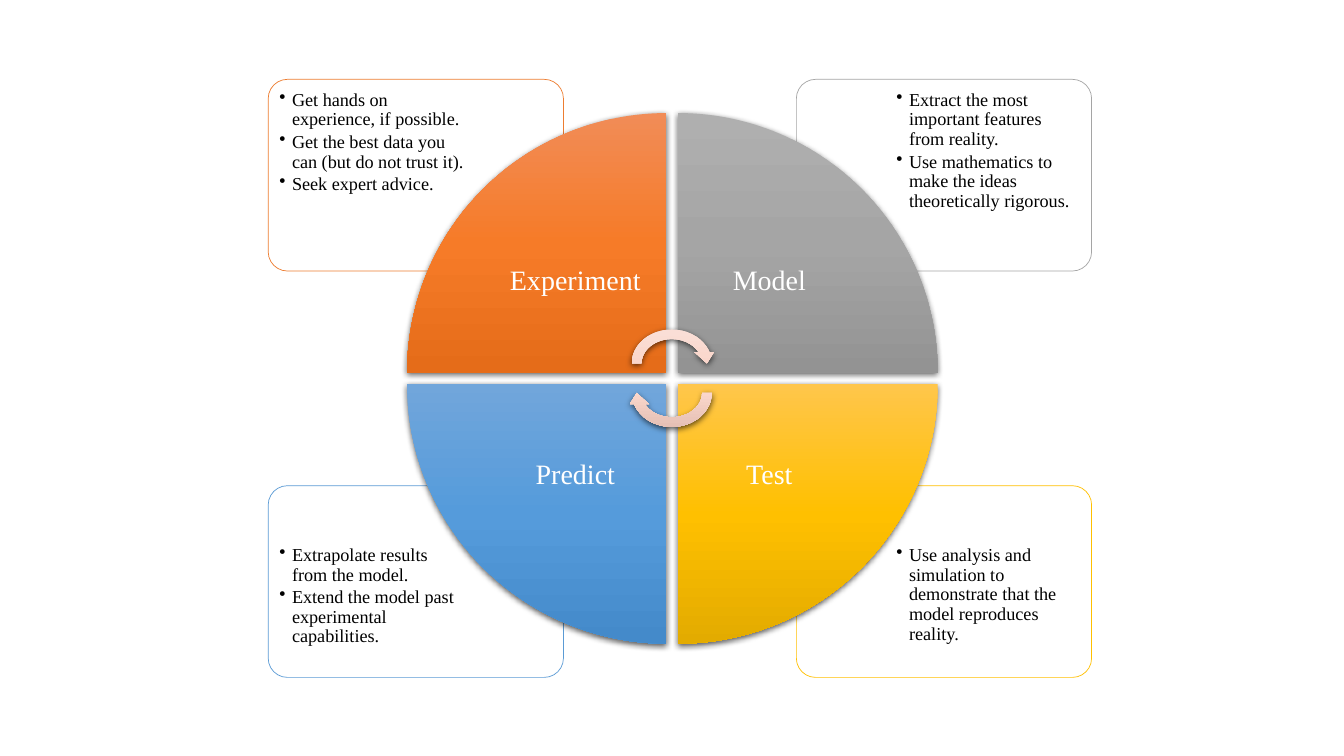
"""Build a four-quadrant cycle slide: experiment, model, test, predict."""
from lxml.etree import SubElement
from pptx import Presentation
from pptx.dml.color import RGBColor
from pptx.enum.shapes import MSO_SHAPE
from pptx.enum.text import MSO_ANCHOR, PP_ALIGN
from pptx.oxml import parse_xml
from pptx.oxml.ns import nsdecls, qn
from pptx.util import Cm, Pt

BLACK = RGBColor(0x00, 0x00, 0x00)
WHITE = RGBColor(0xFF, 0xFF, 0xFF)
ORANGE = RGBColor(0xED, 0x7D, 0x31)
GRAY = RGBColor(0xA5, 0xA5, 0xA5)
GOLD = RGBColor(0xFF, 0xC0, 0x00)
BLUE = RGBColor(0x5B, 0x9B, 0xD5)
ORANGE_FADE = (RGBColor(0xF1, 0x8C, 0x57), RGBColor(0xF6, 0x7B, 0x28), RGBColor(0xE5, 0x6C, 0x19))
GRAY_FADE = (RGBColor(0xAF, 0xAF, 0xAF), GRAY, RGBColor(0x93, 0x93, 0x93))
GOLD_FADE = (RGBColor(0xFF, 0xC6, 0x4B), GOLD, RGBColor(0xE3, 0xAB, 0x00))
BLUE_FADE = (RGBColor(0x71, 0xA6, 0xDB), RGBColor(0x55, 0x9B, 0xDB), RGBColor(0x44, 0x8A, 0xCA))
PINK_FADE = (RGBColor(0xFA, 0xE0, 0xD8), RGBColor(0xFA, 0xD6, 0xCB), RGBColor(0xE2, 0xBC, 0xB1))

STAGES = [
    {"label": "Experiment", "column": 0, "row": 0, "edge": ORANGE, "fade": ORANGE_FADE,
     "notes": ["Get hands on experience, if possible.",
               "Get the best data you can (but do not trust it).",
               "Seek expert advice."]},
    {"label": "Model", "column": 1, "row": 0, "edge": GRAY, "fade": GRAY_FADE,
     "notes": ["Extract the most important features from reality.",
               "Use mathematics to make the ideas theoretically rigorous."]},
    {"label": "Test", "column": 1, "row": 1, "edge": GOLD, "fade": GOLD_FADE,
     "notes": ["Use analysis and simulation to demonstrate that the model reproduces reality."]},
    {"label": "Predict", "column": 0, "row": 1, "edge": BLUE, "fade": BLUE_FADE,
     "notes": ["Extrapolate results from the model.",
               "Extend the model past experimental capabilities."]},
]
ARROWS = [(8.18, 0), (8.92, 180)]

PANEL_X, PANEL_Y, PANEL_W, PANEL_H = 6.76, 2.0, 7.44, 4.83
PANEL_STEP_X, PANEL_STEP_Y = 13.31, 10.24
NOTES_W, NOTES_H, NOTES_INSET = 5.0, 3.4, 0.1
WEDGE_X, WEDGE_Y, WEDGE, WEDGE_STEP = 10.26, 2.85, 6.54, 6.83
LABEL = 4.6
ARROW_X, ARROW_W, ARROW_H = 15.8, 2.26, 1.96

NOTES_STYLE = {
    "margin": Cm(0.18), "anchor": MSO_ANCHOR.TOP,
    "paragraph": {"alignment": PP_ALIGN.LEFT, "line_spacing": 0.9, "space_after": Pt(2)},
    "font": {"name": "Times New Roman", "size": Pt(13)}, "color": BLACK}
LABEL_STYLE = {
    "margin": Cm(0.4), "anchor": MSO_ANCHOR.MIDDLE,
    "paragraph": {"alignment": PP_ALIGN.CENTER, "line_spacing": 0.9},
    "font": {"name": "Times New Roman", "size": Pt(20)}, "color": WHITE}


def set_all(target, values):
    for key, value in values.items():
        setattr(target, key, value)


def add_text(slide, box, lines, style, bulleted=False):
    frame = slide.shapes.add_textbox(*map(Cm, box)).text_frame
    set_all(frame, {"word_wrap": True, "vertical_anchor": style["anchor"]})
    set_all(frame, {f"margin_{side}": style["margin"] for side in ("left", "top", "right", "bottom")})
    for index, line in enumerate(lines):
        paragraph = frame.add_paragraph() if index else frame.paragraphs[0]
        set_all(paragraph, style["paragraph"])
        run = paragraph.add_run()
        run.text = line
        set_all(run.font, style["font"])
        run.font.color.rgb = style["color"]
        if bulleted:
            properties = paragraph._p.get_or_add_pPr()
            properties.set("marL", str(Cm(0.32)))
            properties.set("indent", str(-Cm(0.32)))
            SubElement(properties, qn("a:buChar")).set("char", "•")


def add_panel(slide, box, edge):
    panel = slide.shapes.add_shape(MSO_SHAPE.ROUNDED_RECTANGLE, *map(Cm, box))
    panel.adjustments[0] = 0.1
    panel.shadow.inherit = False
    panel.fill.solid()
    panel.fill.fore_color.rgb = WHITE
    fill_color = panel._element.spPr.find(qn("a:solidFill"))[0]
    SubElement(fill_color, qn("a:alpha")).set("val", "90000")
    panel.line.color.rgb = edge
    panel.line.width = Pt(0.5)


def add_raised(slide, kind, box, fade, rotation):
    raised = slide.shapes.add_shape(kind, *map(Cm, box))
    raised.rotation = rotation
    raised.line.fill.background()
    stops = "".join(f'<a:gs pos="{index * 50000}"><a:srgbClr val="{color}"/></a:gs>'
                    for index, color in enumerate(fade))
    properties = raised._element.spPr
    properties.find(qn("a:ln")).addprevious(parse_xml(
        f'<a:gradFill {nsdecls("a")} rotWithShape="0"><a:gsLst>{stops}</a:gsLst>'
        '<a:lin ang="5400000" scaled="0"/></a:gradFill>'))
    properties.append(parse_xml(
        f'<a:effectLst {nsdecls("a")}><a:outerShdw blurRad="{Pt(4.5)}" dist="{Pt(1.5)}" '
        f'dir="5400000" algn="ctr" rotWithShape="0"><a:srgbClr val="{BLACK}">'
        '<a:alpha val="63000"/></a:srgbClr></a:outerShdw></a:effectLst>'))


deck = Presentation()
deck.slide_width, deck.slide_height = Cm(33.87), Cm(19.05)
slide = deck.slides.add_slide(deck.slide_layouts[6])

for stage in reversed(STAGES):
    column, row = stage["column"], stage["row"]
    x, y = PANEL_X + column * PANEL_STEP_X, PANEL_Y + row * PANEL_STEP_Y
    add_panel(slide, (x, y, PANEL_W, PANEL_H), stage["edge"])
    notes_x = x + (PANEL_W - NOTES_W - NOTES_INSET if column else NOTES_INSET)
    notes_y = y + (PANEL_H - NOTES_H - NOTES_INSET if row else NOTES_INSET)
    add_text(slide, (notes_x, notes_y, NOTES_W, NOTES_H), stage["notes"], NOTES_STYLE, bulleted=True)

for turn, stage in enumerate(STAGES):
    column, row = stage["column"], stage["row"]
    x, y = WEDGE_X + column * WEDGE_STEP, WEDGE_Y + row * WEDGE_STEP
    add_raised(slide, MSO_SHAPE.PIE_WEDGE, (x, y, WEDGE, WEDGE), stage["fade"], 90 * turn)
    label_x = x + (1 - column) * (WEDGE - LABEL)
    label_y = y + (1 - row) * (WEDGE - LABEL)
    add_text(slide, (label_x, label_y, LABEL, LABEL), [stage["label"]], LABEL_STYLE)

for arrow_y, rotation in ARROWS:
    add_raised(slide, MSO_SHAPE.CIRCULAR_ARROW, (ARROW_X, arrow_y, ARROW_W, ARROW_H), PINK_FADE, rotation)

deck.save("out.pptx")
